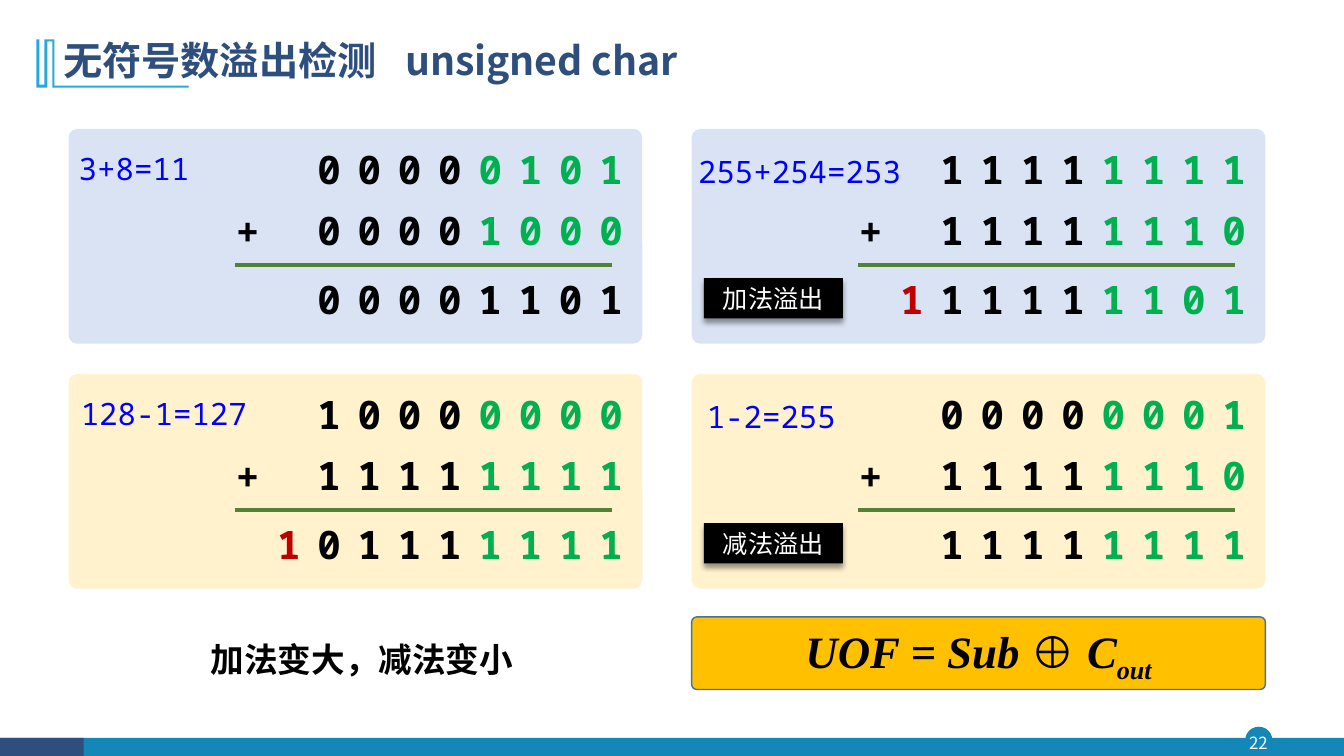
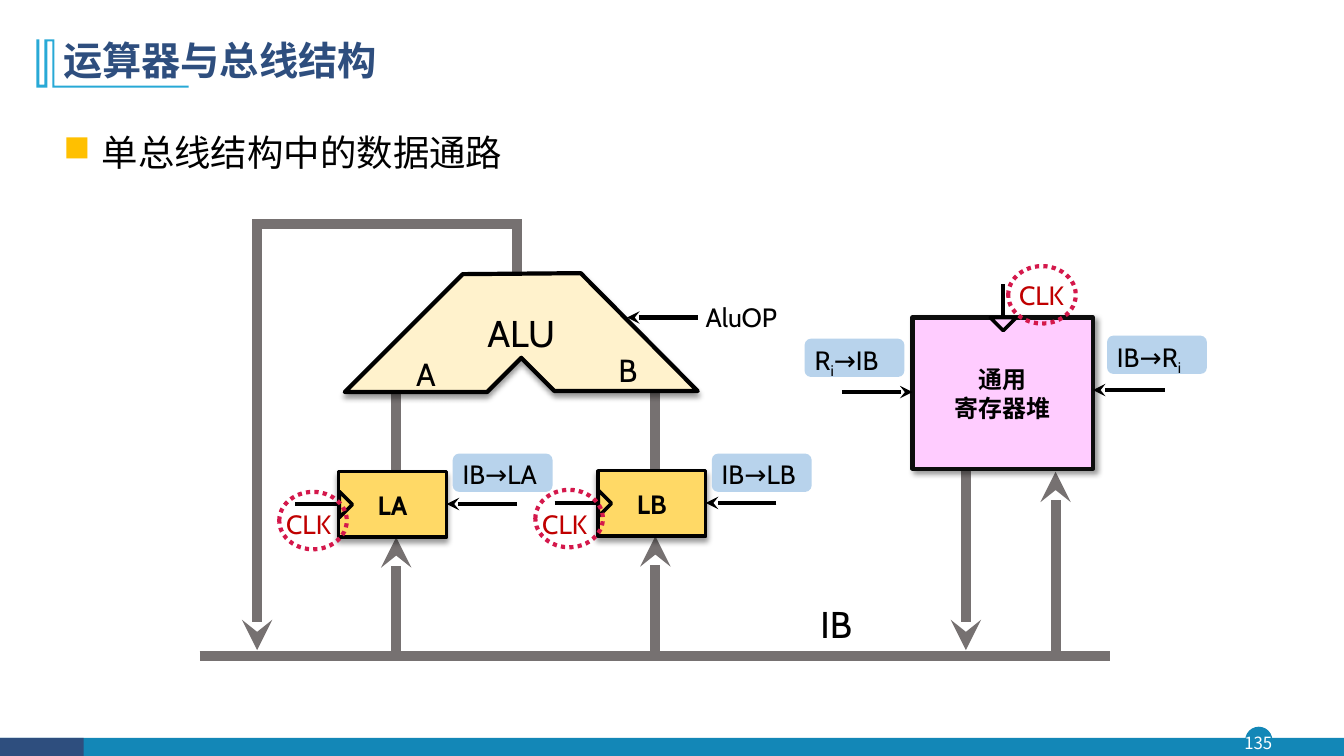
from lxml.etree import SubElement
from pptx import Presentation
from pptx.dml.color import RGBColor
from pptx.enum.dml import MSO_LINE
from pptx.enum.shapes import MSO_CONNECTOR, MSO_SHAPE
from pptx.enum.text import MSO_ANCHOR, PP_ALIGN
from pptx.oxml import parse_xml
from pptx.oxml.ns import nsdecls, qn
from pptx.util import Inches, Pt

SANS, MONO, CABIN, ROMAN = "Noto Sans CJK SC", "Noto Sans Mono", "Cabin", "Times New Roman"
BLACK, WHITE, NAVY, TEAL, SKY = "000000", "FFFFFF", "2E4E7E", "1387B7", "28A9D6"
RED, GREEN, BLUE, GOLD, GRAY = "C00000", "00B050", "0000FF", "FFC000", "767171"
CREAM, YELLOW, PINK, TAG = "FFF2CC", "FFD966", "FFCCFF", "9DC3E6"
LEFT, MID, RIGHT, JUST = PP_ALIGN.LEFT, PP_ALIGN.CENTER, PP_ALIGN.RIGHT, PP_ALIGN.JUSTIFY
TOP, CORE = MSO_ANCHOR.TOP, MSO_ANCHOR.MIDDLE
RECT, ROUND, OVAL = MSO_SHAPE.RECTANGLE, MSO_SHAPE.ROUNDED_RECTANGLE, MSO_SHAPE.OVAL
WEDGE = MSO_SHAPE.ISOSCELES_TRIANGLE
tone = RGBColor.from_string


def style(shape, fill=None, edge=None, width=1, words="", size=18, face=SANS, ink=BLACK,
          bold=False, align=LEFT, anchor=TOP, inset=(0.1, 0.05), wrap=True, gap=0, shade=None):
    shape.shadow.inherit = False
    if fill:
        shape.fill.solid()
        shape.fill.fore_color.rgb = tone(fill)
    else:
        shape.fill.background()
    if edge:
        shape.line.color.rgb = tone(edge)
        shape.line.width = Pt(width)
    else:
        shape.line.fill.background()
    if shade is not None:
        cast = SubElement(shape._element.spPr.find(qn("a:effectLst")), qn("a:outerShdw"),
                          blurRad=str(Pt(4)), dist=str(Pt(3)), dir=str(shade * 60000), rotWithShape="0")
        dark = SubElement(cast, qn("a:srgbClr"), val=BLACK)
        SubElement(dark, qn("a:alpha"), val="40000")
    if not words:
        return shape
    frame = shape.text_frame
    frame.word_wrap = wrap
    frame.vertical_anchor = anchor
    frame.margin_left = frame.margin_right = Inches(inset[0])
    frame.margin_top = frame.margin_bottom = Inches(inset[1])
    lines = [[(line, "")] for line in words.split("\n")] if isinstance(words, str) else [words]
    for i, runs in enumerate(lines):
        para = frame.add_paragraph() if i else frame.paragraphs[0]
        para.alignment = align
        para.font.size = Pt(size)
        para.font.bold = bold
        para.font.name = face
        para.font.color.rgb = tone(ink)
        base = para._p.pPr.find(qn("a:defRPr"))
        SubElement(base, qn("a:ea"), typeface=SANS)
        if gap:
            base.set("spc", str(gap * 100))
        for text, mark in runs:
            run = para.add_run()
            run.text = text
            if mark == "sub":
                run._r.get_or_add_rPr().set("baseline", "-25000")
            elif mark:
                run.font.color.rgb = tone(mark)
    return shape


def link(slide, ends, hue, width, tip=False):
    line = slide.shapes.add_connector(MSO_CONNECTOR.STRAIGHT, *map(Inches, ends))
    line.line.color.rgb = tone(hue)
    line.line.width = Pt(width)
    if tip:
        SubElement(line.line._get_or_add_ln(), qn("a:tailEnd"), type="stealth")
    SubElement(line._element.spPr, qn("a:effectLst"))


deck = Presentation()
deck.slide_width, deck.slide_height = Inches(13.33), Inches(7.5)

logo = [(0.54, 0.39), (0.54, 0.85), (1.87, 0.85), (1.87, 0.87), (0.52, 0.87), (0.52, 0.41),
        (0.47, 0.41), (0.47, 0.87), (0.36, 0.87), (0.36, 0.39), (0.39, 0.39), (0.39, 0.84),
        (0.44, 0.84), (0.44, 0.39)]
heads = []
for num, name in (("22", "无符号数溢出检测\tunsigned char"), ("135", "运算器与总线结构")):
    slide = deck.slides.add_slide(deck.slide_layouts[6])
    art = slide.shapes
    for kind, box, hue in ((OVAL, (12.35, 7.21, 0.27, 0.27), TEAL),
                           (RECT, (0, 7.32, 13.33, 0.18), TEAL),
                           (RECT, (0, 7.32, 0.83, 0.18), NAVY)):
        style(art.add_shape(kind, *map(Inches, box)), hue)
    style(art.add_textbox(*map(Inches, (12.32, 7.21, 0.32, 0.31))), words=num, size=12,
          ink=WHITE, align=MID, anchor=CORE, inset=(0, 0), wrap=False)
    spots = [(Inches(x), Inches(y)) for x, y in logo]
    pen = art.build_freeform(*spots[0])
    pen.add_line_segments(spots[1:])
    style(pen.convert_to_shape(), SKY)
    head = style(art.add_textbox(*map(Inches, (0.53, 0.28, 11.5, 0.68))), words=name, size=28,
                 ink=NAVY, bold=True, anchor=CORE)
    heads.append(head.text_frame.paragraphs[0])
    heads[-1].line_spacing = 0.9

stop = parse_xml(f'<a:tabLst {nsdecls("a")}><a:tab pos="{Inches(3.39)}" algn="l"/></a:tabLst>')
heads[0]._p.pPr.find(qn("a:defRPr")).addprevious(stop)

sums, path = deck.slides
art = sums.shapes
cards = [
    ("3+8=11", 1.3, "00000101", "00001000", "00001101", ""),
    ("255+254=253", 2.28, "11111111", "11111110", "111111101", "加法溢出"),
    ("128-1=127", 1.89, "10000000", "11111111", "101111111", ""),
    ("1-2=255", 1.72, "00000001", "11111110", "11111111", "减法溢出"),
]
for i, (name, wide, first, second, total, note) in enumerate(cards):
    row, col = divmod(i, 2)
    x, y = 0.68 + 6.18 * col, 1.28 + 2.43 * row
    card = style(art.add_shape(ROUND, *map(Inches, (x, y, 5.69, 2.13))), (("DAE3F3", CREAM)[row]))
    card.adjustments[0] = 0.04
    link(sums, (x + 1.65, y + 1.35, x + 5.39, y + 1.35), "548235", 3)
    for bits, drop in ((first, 0.11), (second, 0.72), (total, 1.4)):
        over = len(bits) - 8
        low = BLACK if i == 0 and bits == total else GREEN
        runs = [(bits[:over], RED)] if over else []
        runs += [(bits[over:-4], BLACK), (bits[-4:], low)]
        box = (x + 2.37 - 0.4 * over, y + drop, 3.4 + 0.4 * over, 0.57)
        style(art.add_textbox(*map(Inches, box)), words=runs, size=28, face=MONO, bold=True, gap=12)
    style(art.add_textbox(*map(Inches, (x + 1.56, y + 0.73, 0.42, 0.57))), words="+", size=28,
          face=MONO, bold=True, wrap=False)
    box = (x - 0.07 * col, y + 0.16 + 0.03 * col, wide, 0.47)
    style(art.add_textbox(*map(Inches, box)), words=name, size=22, face=MONO, ink=BLUE, align=MID)
    if note:
        style(art.add_shape(RECT, *map(Inches, (x + 0.12, y + 1.48, 1.38, 0.4))), BLACK, words=note,
              face=MONO, ink=WHITE, align=MID, shade=90)

rule = style(art.add_shape(ROUND, *map(Inches, (6.86, 6.12, 5.69, 0.72))), GOLD, "43739E",
             words=[("UOF = Sub ", ""), ("⊕ ", ""), ("C", ""), ("out", "sub")], size=32,
             face=ROMAN, bold=True, align=MID)
rule.adjustments[0] = 0.07
para = rule.text_frame.paragraphs[0]
para.font.italic = True
para.runs[1].font.italic = False
style(art.add_textbox(*map(Inches, (0.53, 6.15, 6.12, 0.77))), words="加法变大，减法变小", size=24,
      bold=True, align=MID, anchor=CORE)

art = path.shapes
body = style(art.add_textbox(*map(Inches, (0.53, 1.03, 11.5, 1.01))), words="单总线结构中的数据通路",
             size=26, align=JUST)
para = body.text_frame.paragraphs[0]
para.line_spacing = 1.5
prop = para._p.pPr
prop.set("marL", str(Inches(0.38)))
prop.set("indent", str(Inches(-0.38)))
for xml in (f'<a:buClr {nsdecls("a")}><a:srgbClr val="{GOLD}"/></a:buClr>',
            f'<a:buChar {nsdecls("a")} char="■"/>'):
    prop.find(qn("a:defRPr")).addprevious(parse_xml(xml))

latches = [("LA", 3.36, 4.68), ("LB", 5.93, 4.67)]
buses = [((1.98, 6.51, 11.01, 6.51), False), ((2.5, 2.22, 5.18, 2.22), False),
         ((5.13, 2.73, 5.13, 2.22), False), ((2.55, 2.22, 2.55, 6.45), True),
         ((9.58, 4.65, 9.58, 6.45), True), ((10.47, 6.51, 10.47, 4.68), True)]
for name, x, y in latches:
    buses += [((x + 0.57, y, x + 0.57, 3.89), False), ((x + 0.57, 6.46, x + 0.57, y + 0.65), True)]
for ends, tip in buses:
    link(path, ends, GRAY, 7.25, tip)

edge = [(4.59, 2.72), (3.42, 3.89), (4.83, 3.89), (5.17, 3.55), (5.5, 3.88), (6.92, 3.88), (5.76, 2.71)]
spots = [(Inches(x), Inches(y)) for x, y in edge]
pen = art.build_freeform(*spots[0])
pen.add_line_segments(spots[1:])
style(pen.convert_to_shape(), CREAM, BLACK, 3, "ALU", 26.6, CABIN, align=MID, anchor=CORE, shade=90)
style(art.add_shape(RECT, *map(Inches, (9.05, 3.15, 1.79, 1.5))), PINK, "0D0D0D", 3,
      "通用\n寄存器堆", 17.1, bold=True, align=MID, anchor=CORE, shade=45)

wires = [((8.35, 3.89, 9.05, 3.89), True), ((11.55, 3.87, 10.84, 3.87), True),
         ((6.92, 3.15, 6.22, 3.15), True), ((9.95, 2.82, 9.95, 3.16), False)]
wedges = [(9.82, 3.15, 180, PINK)]
tags = [(7.98, 3.36, [("R", ""), ("i", "sub"), ("→IB", "")]),
        (10.98, 3.33, [("IB→R", ""), ("i", "sub")])]
for name, x, y in latches:
    style(art.add_shape(RECT, *map(Inches, (x, y, 1.07, 0.65))), YELLOW, BLACK, 2.5, name, 18.9,
          CABIN, bold=True, align=MID, anchor=CORE, shade=90)
    wires += [((x - 0.43, y + 0.32, x, y + 0.32), False),
              ((x + 1.77, y + 0.32, x + 1.07, y + 0.32), True)]
    wedges.append((x - 0.06, y + 0.26, 90, YELLOW))
    tags.append((x + 1.13, 4.5, "IB→" + name))
for x, y, turn, hue in wedges:
    wedge = style(art.add_shape(WEDGE, *map(Inches, (x, y, 0.26, 0.13))), hue, BLACK, 2.5)
    wedge.rotation = turn
for ends, tip in wires:
    link(path, ends, BLACK, 3, tip)
for x, y, words in tags:
    tag = style(art.add_shape(ROUND, *map(Inches, (x, y, 0.99, 0.38))), TAG, words=words,
                size=18.9, face=CABIN, inset=(0.08, 0.03), wrap=False)
    shade = tag._element.spPr.find(qn("a:solidFill")).find(qn("a:srgbClr"))
    SubElement(shade, qn("a:alpha"), val="72000")

for x, y, left, top in ((2.77, 4.88, 2.74, 4.99), (5.31, 4.86, 5.28, 4.99), (10, 2.64, 10.01, 2.72)):
    style(art.add_textbox(*map(Inches, (left, top, 0.83, 0.34))), words="CLK", size=18.9,
          face=CABIN, ink=RED)
    ring = style(art.add_shape(OVAL, *map(Inches, (x, y, 0.67, 0.57))), None, "D4184B", 3)
    ring.line.dash_style = MSO_LINE.ROUND_DOT
for words, box, size, align in (("AluOP", (6.9, 2.94, 1.31, 0.34), 18.9, LEFT),
                                ("IB", (7.96, 5.92, 0.59, 0.55), 26.6, RIGHT),
                                ("A", (3.98, 3.47, 0.44, 0.48), 22.8, RIGHT),
                                ("B", (6, 3.43, 0.42, 0.48), 22.8, RIGHT)):
    style(art.add_textbox(*map(Inches, box)), words=words, size=size, face=CABIN, align=align, wrap=False)

deck.save("out.pptx")
